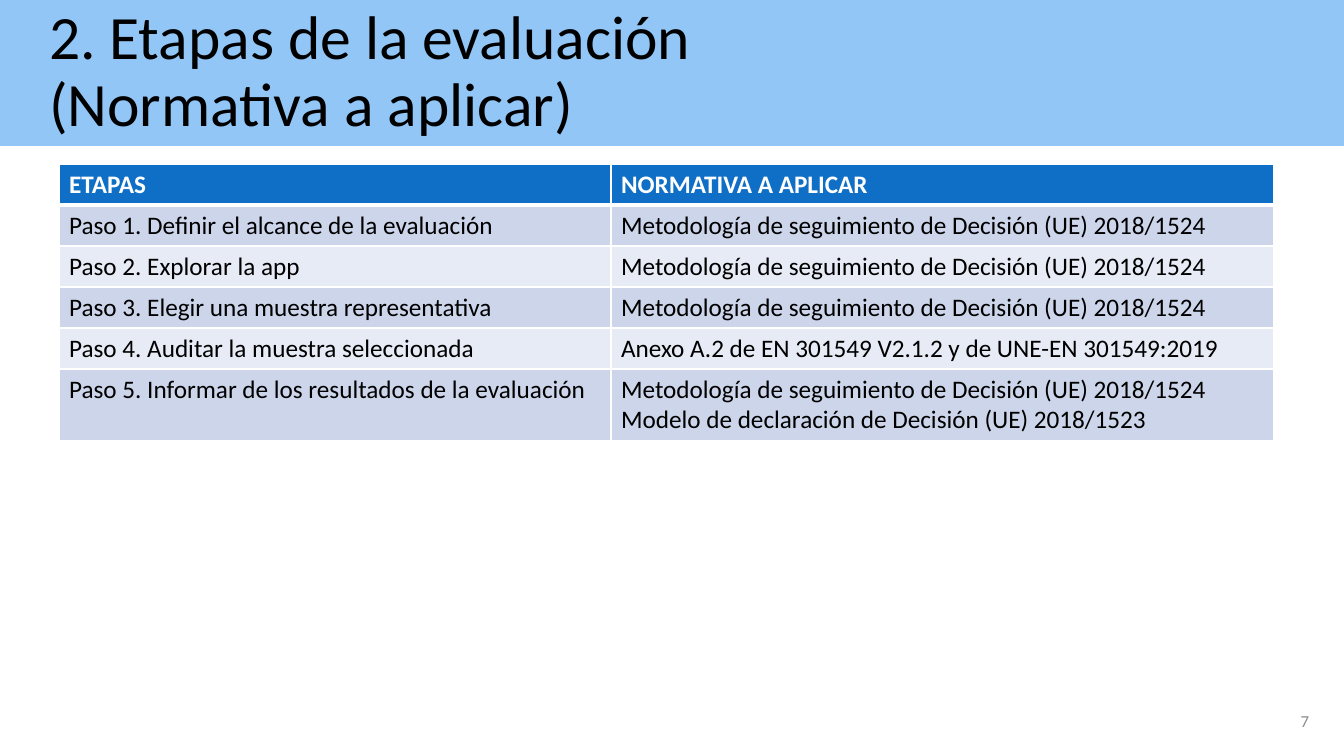
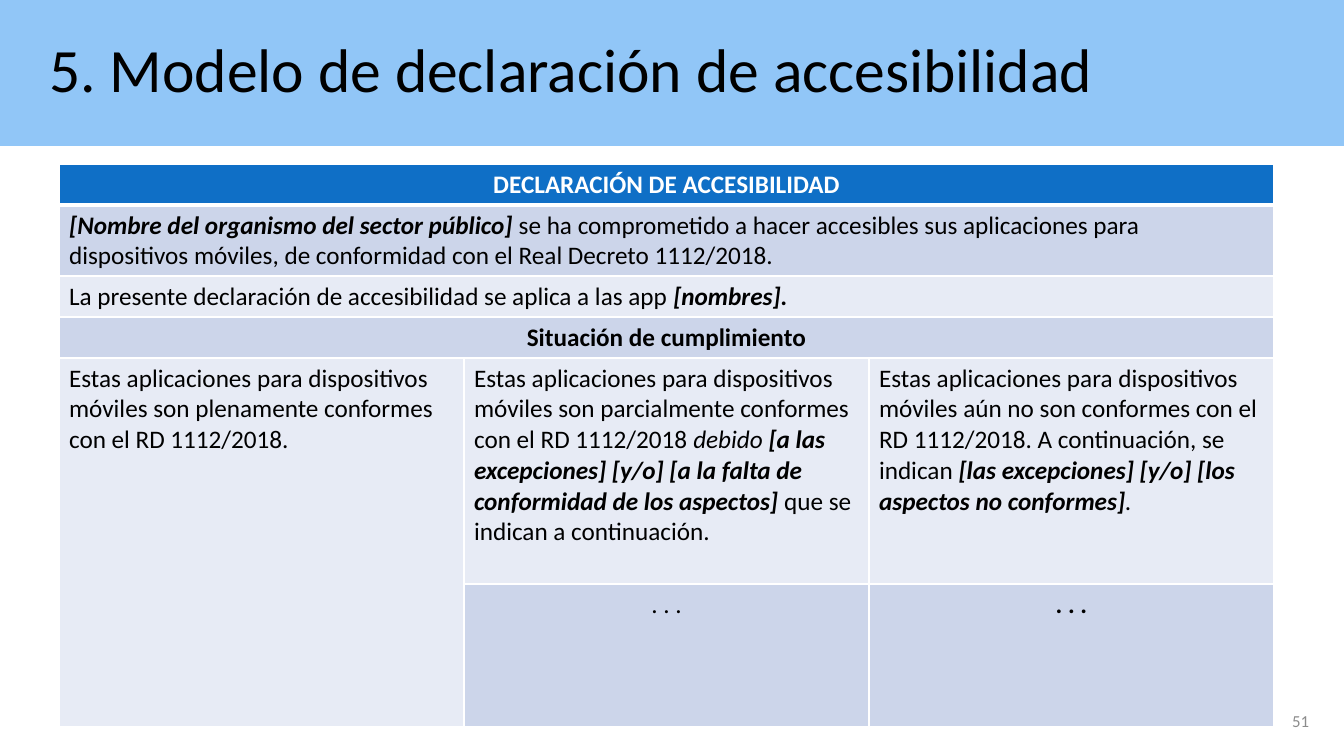
from dataclasses import dataclass
from lxml import etree
from pptx import Presentation
from pptx import util as u
from pptx.dml.color import RGBColor
from pptx.enum import shapes, text
from pptx.oxml import ns


@dataclass(frozen=True)
class Theme:
    font: str = "Calibri"
    band: str = "91C6F7"
    header: str = "0F6FC6"
    stripes: tuple = ("CCD5EA", "E7EBF5")
    ink: str = "000000"
    white: str = "FFFFFF"
    grey: str = "8C8C8C"
    title_size: int = 44
    body_size: int = 18
    number_size: int = 12
    border: int = 1
    header_border: int = 3


@dataclass(frozen=True)
class Cell:
    paragraphs: tuple
    centred: bool = False
    bold: bool = False
    span: tuple = (1, 1)


def plain(*lines, **options):
    return Cell(tuple(((line, ""),) for line in lines), **options)


def rich(*runs, **options):
    return Cell((runs,), **options)


THEME = Theme()
METHODOLOGY = "Metodología de seguimiento de Decisión (UE) 2018/1524"
APPS = "Estas aplicaciones para dispositivos móviles "
WIDE = (1, 3)

SLIDES = [
    {
        "title": "2. Etapas de la evaluación\v(Normativa a aplicar)",
        "number": "7",
        "columns": [552, 663],
        "rows": [41] * 5 + [71],
        "cells": [
            [plain("ETAPAS", bold=True), plain("NORMATIVA A APLICAR", bold=True)],
            [plain("Paso 1. Definir el alcance de la evaluación"), plain(METHODOLOGY)],
            [plain("Paso 2. Explorar la app"), plain(METHODOLOGY)],
            [plain("Paso 3. Elegir una muestra representativa"), plain(METHODOLOGY)],
            [plain("Paso 4. Auditar la muestra seleccionada"),
             plain("Anexo A.2 de EN 301549 V2.1.2 y de UNE-EN 301549:2019")],
            [plain("Paso 5. Informar de los resultados de la evaluación"),
             plain(METHODOLOGY, "Modelo de declaración de Decisión (UE) 2018/1523")],
        ],
    },
    {
        "title": "5. Modelo de declaración de accesibilidad",
        "number": "51",
        "columns": [405] * 3,
        "rows": [41, 71, 41, 41, 226, 143],
        "cells": [
            [plain("DECLARACIÓN DE ACCESIBILIDAD", centred=True, bold=True, span=WIDE), None, None],
            [rich(("[Nombre del organismo del sector público] ", "bi"),
                  ("se ha comprometido a hacer accesibles sus aplicaciones para dispositivos "
                   "móviles, de conformidad con el Real Decreto 1112/2018.", ""), span=WIDE), None, None],
            [rich(("La presente declaración de accesibilidad se aplica a las app ", ""),
                  ("[nombres].", "bi"), span=WIDE), None, None],
            [plain("Situación de cumplimiento", centred=True, bold=True, span=WIDE), None, None],
            [plain(APPS + "son plenamente conformes con el RD 1112/2018.", span=(2, 1)),
             rich((APPS + "son parcialmente conformes con el RD 1112/2018 ", ""),
                  ("debido", "i"),
                  (" [a las excepciones] [y/o] [a la falta de conformidad de los aspectos] ", "bi"),
                  ("que se indican a continuación.", "")),
             rich((APPS + "aún no son conformes con el RD 1112/2018. A continuación, se indican ", ""),
                  ("[las excepciones] [y/o] [los aspectos no conformes]", "bi"),
                  (".", "i"))],
            [None, plain(". . .", centred=True), plain(". . .", centred=True, bold=True)],
        ],
    },
]

PIXEL = u.Inches(1) / 100.8
TITLE_BAND = (0, 0, 1344, 146)
TITLE_INSET = 49
TABLE_LEFT, TABLE_TOP = 59, 164
NUMBER_BOX = (1017, 701, 302, 40)


def px(*lengths):
    return [u.Emu(round(length * PIXEL)) for length in lengths]


def color(value):
    return RGBColor.from_string(value)


def style_font(font, size, ink):
    font.name = THEME.font
    font.size = u.Pt(size)
    font.color.rgb = color(ink)


def fill_solid(target, value):
    target.fill.solid()
    target.fill.fore_color.rgb = color(value)


def set_borders(cell, is_header):
    properties = cell._tc.get_or_add_tcPr()
    for index, side in enumerate(("lnL", "lnR", "lnT", "lnB")):
        points = THEME.header_border if is_header and side == "lnB" else THEME.border
        line = etree.Element(ns.qn("a:" + side), w=str(u.Pt(points)))
        solid = etree.SubElement(line, ns.qn("a:solidFill"))
        etree.SubElement(solid, ns.qn("a:srgbClr"), val=THEME.white)
        properties.insert(index, line)


def write_cell(cell, content, ink):
    frame = cell.text_frame
    for index, runs in enumerate(content.paragraphs):
        paragraph = frame.add_paragraph() if index else frame.paragraphs[0]
        paragraph.alignment = text.PP_ALIGN.CENTER if content.centred else text.PP_ALIGN.LEFT
        style_font(paragraph.font, THEME.body_size, ink)
        for words, emphasis in runs:
            run = paragraph.add_run()
            run.text = words
            run.font.bold = content.bold or "b" in emphasis
            run.font.italic = "i" in emphasis


def add_title(slide, words):
    band = slide.shapes.add_shape(shapes.MSO_SHAPE.RECTANGLE, *px(*TITLE_BAND))
    band.shadow.inherit = False
    fill_solid(band, THEME.band)
    band.line.fill.background()
    frame = band.text_frame
    frame.word_wrap = True
    frame.vertical_anchor = text.MSO_ANCHOR.MIDDLE
    frame.margin_left = px(TITLE_INSET)[0]
    paragraph = frame.paragraphs[0]
    paragraph.text = words
    paragraph.alignment = text.PP_ALIGN.LEFT
    paragraph.line_spacing = 0.9
    style_font(paragraph.font, THEME.title_size, THEME.ink)


def add_number(slide, number):
    frame = slide.shapes.add_textbox(*px(*NUMBER_BOX)).text_frame
    frame.word_wrap = True
    frame.vertical_anchor = text.MSO_ANCHOR.MIDDLE
    paragraph = frame.paragraphs[0]
    paragraph.text = number
    paragraph.alignment = text.PP_ALIGN.RIGHT
    style_font(paragraph.font, THEME.number_size, THEME.grey)


def add_grid(slide, columns, rows, cells):
    box = px(TABLE_LEFT, TABLE_TOP, sum(columns), sum(rows))
    table = slide.shapes.add_table(len(rows), len(columns), *box).table
    for column, width in zip(table.columns, px(*columns)):
        column.width = width
    for row, height in zip(table.rows, px(*rows)):
        row.height = height
    for r, contents in enumerate(cells):
        is_header = r == 0
        background = THEME.header if is_header else THEME.stripes[(r - 1) % 2]
        ink = THEME.white if is_header else THEME.ink
        for c, content in enumerate(contents):
            cell = table.cell(r, c)
            fill_solid(cell, background)
            set_borders(cell, is_header)
            if content:
                write_cell(cell, content, ink)
                down, across = content.span
                if content.span != (1, 1):
                    cell.merge(table.cell(r + down - 1, c + across - 1))


presentation = Presentation()
presentation.slide_width, presentation.slide_height = px(1344, 756)
for content in SLIDES:
    slide = presentation.slides.add_slide(presentation.slide_layouts[6])
    add_title(slide, content["title"])
    add_grid(slide, content["columns"], content["rows"], content["cells"])
    add_number(slide, content["number"])
presentation.save("out.pptx")
